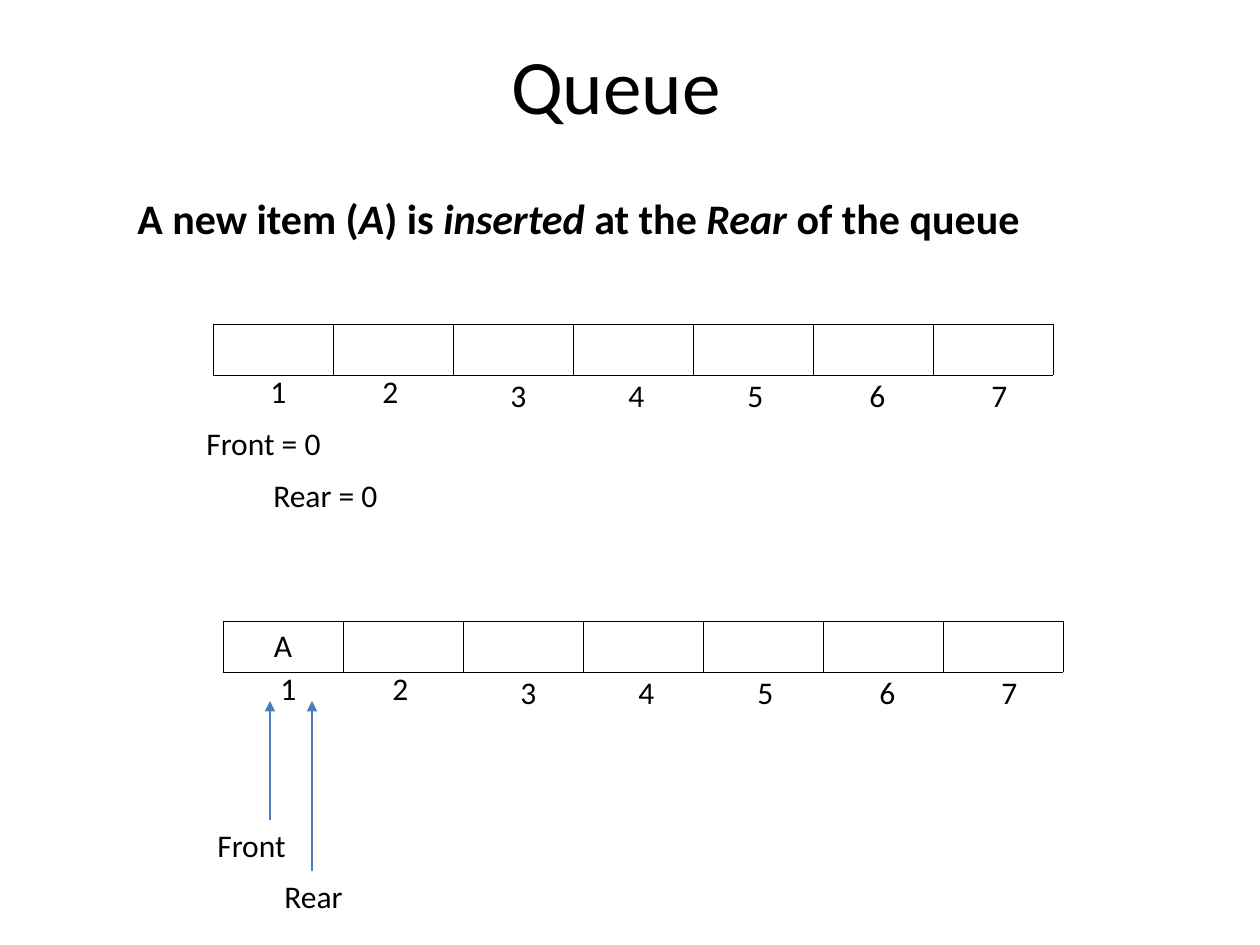
import pptx
import pptx.util
import pptx.dml.color
import pptx.enum.shapes
import pptx.enum.text
import pptx.oxml
import pptx.oxml.ns

PX = 914400 // 126
FONT = "Calibri"
COLORS = {"ink": "000000", "arrow": "4A7EBB"}
CELL = 120
ROW = 51
# Offset of each index label from the left and top of its table
MARKS = [(45, 42), (157, 42), (285, 46), (403, 46), (522, 46), (644, 46), (766, 46)]
ALIGN = pptx.enum.text.PP_ALIGN
ANCHOR = pptx.enum.text.MSO_ANCHOR


def px(*vals):
    return [pptx.util.Emu(val * PX) for val in vals]


def color(name):
    return pptx.dml.color.RGBColor.from_string(COLORS[name])


def write(frame, text, size=18, bold=False, align=ALIGN.LEFT):
    """Fill a frame; parts between asterisks are italic."""
    para = frame.paragraphs[0]
    para.alignment = align
    for num, part in enumerate(text.split("*")):
        run = para.add_run()
        run.text = part
        run.font.name = FONT
        run.font.size = pptx.util.Pt(size)
        run.font.bold = bold
        run.font.italic = num % 2 == 1
        run.font.color.rgb = color("ink")


def label(slide, text, left, top, width, height=50, anchor=ANCHOR.TOP, **style):
    frame = slide.shapes.add_textbox(*px(left, top, width, height)).text_frame
    frame.word_wrap = True
    frame.vertical_anchor = anchor
    write(frame, text, **style)


def border(cell):
    props = cell._tc.get_or_add_tcPr()
    for num, side in enumerate(("lnL", "lnR", "lnT", "lnB")):
        line = pptx.oxml.parse_xml(
            f'<a:{side} {pptx.oxml.ns.nsdecls("a")} w="5715"><a:solidFill>'
            f'<a:srgbClr val="{COLORS["ink"]}"/></a:solidFill></a:{side}>')
        props.insert(num, line)


def queue(slide, left, top, items):
    count = len(items)
    table = slide.shapes.add_table(1, count, *px(left, top, CELL * count, ROW)).table
    table.first_row = False
    table.horz_banding = False
    for num, item in enumerate(items):
        table.columns[num].width = px(CELL)[0]
        cell = table.cell(0, num)
        cell.fill.background()
        border(cell)
        if item:
            write(cell.text_frame, item, align=ALIGN.CENTER)
    # Index labels under the cells
    for num, (dx, dy) in enumerate(MARKS, 1):
        label(slide, str(num), left + dx, top + dy, 40)


def arrow(slide, left, start, end):
    kind = pptx.enum.shapes.MSO_CONNECTOR.STRAIGHT
    link = slide.shapes.add_connector(kind, *px(left, start, left, end))
    link.line.color.rgb = color("arrow")
    link.line.width = pptx.util.Pt(0.75)
    tip = link.line._get_or_add_ln()
    tip.append(pptx.oxml.parse_xml(
        f'<a:tailEnd {pptx.oxml.ns.nsdecls("a")} type="triangle"/>'))
    link._element.spPr.append(pptx.oxml.parse_xml(
        f'<a:effectLst {pptx.oxml.ns.nsdecls("a")}/>'))


def main():
    deck = pptx.Presentation()
    deck.slide_width, deck.slide_height = px(1260, 945)
    slide = deck.slides.add_slide(deck.slide_layouts[6])

    # Heading
    label(slide, "Queue", 49, 0, 1134, 168, anchor=ANCHOR.MIDDLE,
          size=44, align=ALIGN.CENTER)
    label(slide, "A new item (*A*) is *inserted *at the *Rear *of the queue",
          125, 186, 982, 63, size=24, bold=True)

    # Empty queue
    queue(slide, 213, 324, [""] * 7)
    label(slide, "Front = 0", 194, 418, 140)
    label(slide, "Rear = 0", 261, 470, 140)

    # Queue after the insert
    queue(slide, 223, 621, ["A"] + [""] * 6)
    label(slide, "Front", 205, 820, 128)
    label(slide, "Rear", 272, 871, 128)
    arrow(slide, 270, 820, 701)
    arrow(slide, 312, 871, 701)

    deck.save("out.pptx")


if __name__ == "__main__":
    main()
